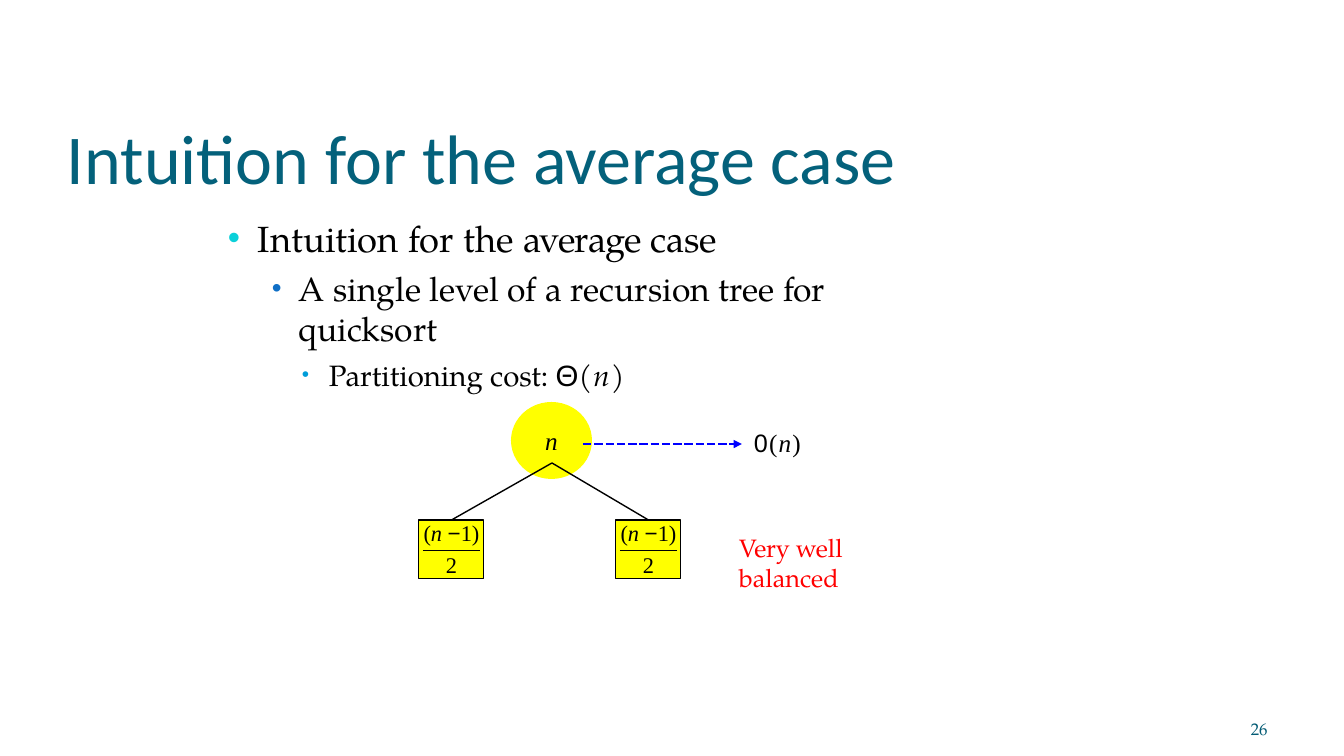
from dataclasses import dataclass

from lxml.etree import SubElement
from pptx import Presentation
from pptx.dml.color import RGBColor as RGB
from pptx.enum.dml import MSO_LINE as Dash
from pptx.enum.shapes import MSO_CONNECTOR as Conn, MSO_SHAPE as Shape
from pptx.enum.text import MSO_ANCHOR as Anchor, PP_ALIGN as Align
from pptx.oxml.ns import qn
from pptx.util import Pt

SCALE = 914400 / 100.8


@dataclass(frozen=True)
class Theme:
    """Colours, fonts and type sizes of the slide."""
    title: str = "04617B"
    number: str = "045C75"
    ink: str = "000000"
    node: str = "FFFF00"
    arrow: str = "0000FF"
    remark: str = "FF0000"
    bullets: tuple = ("0BD0D9", "0F6FC6", "009DD9")
    head: str = "Calibri"
    body: str = "TeX Gyre Pagella"
    math: str = "Times New Roman"
    symbol: str = "Arial"
    title_pt: int = 50
    body_pt: tuple = (26, 24, 21)
    label_pt: int = 18
    leaf_pt: int = 16
    number_pt: int = 12


T = Theme()


def px(n):
    """Turn px into EMU."""
    return round(n * SCALE)


def add_para(tf, runs, name, size, color, first=False, **fmt):
    """Add a paragraph of (text, changes) runs."""
    p = tf.paragraphs[0] if first else tf.add_paragraph()
    for key, value in fmt.items():
        setattr(p, key, value)
    for text, changes in runs:
        r = p.add_run()
        r.text = text
        look = {"name": name, "size": Pt(size), **changes}
        spacing = look.pop("spacing", 0)
        for key, value in look.items():
            setattr(r.font, key, value)
        r.font.color.rgb = RGB.from_string(color)
        if spacing:
            r._r.get_or_add_rPr().set("spc", str(round(spacing * 100)))
    return p


def frame(s, top=0, anchor=Anchor.TOP):
    """Set up the text frame of a shape."""
    tf = s.text_frame
    fmt = {"margin_left": 0, "margin_right": 0, "margin_top": px(top),
           "margin_bottom": 0, "word_wrap": True, "vertical_anchor": anchor}
    for key, value in fmt.items():
        setattr(tf, key, value)
    return tf


def add_text(slide, box, runs, name, size, color, **fmt):
    """Place a text box with one paragraph."""
    tf = frame(slide.shapes.add_textbox(*map(px, box)), top=1)
    add_para(tf, runs, name, size, color, first=True, **fmt)


def add_line(slide, start, end, color, width):
    """Draw a plain straight connector."""
    c = slide.shapes.add_connector(Conn.STRAIGHT, *map(px, start + end))
    c.line.color.rgb = RGB.from_string(color)
    c.line.width = Pt(width)
    SubElement(c._element.spPr, qn("a:effectLst"))
    return c


def add_node(slide, kind, box, outlined):
    """Draw a yellow node of the tree."""
    s = slide.shapes.add_shape(kind, *map(px, box))
    s.shadow.inherit = False
    s.fill.solid()
    s.fill.fore_color.rgb = RGB.from_string(T.node)
    if outlined:
        s.line.color.rgb = RGB.from_string(T.ink)
        s.line.width = Pt(0.75)
    else:
        s.line.fill.background()
    return s


def add_bullet(p, color, percent, left, hang):
    """Give a paragraph a coloured bullet and a hanging indent."""
    pPr = p._p.get_or_add_pPr()
    pPr.set("marL", str(px(left)))
    pPr.set("indent", str(-px(hang)))
    SubElement(SubElement(pPr, qn("a:buClr")), qn("a:srgbClr"), val=color)
    SubElement(pPr, qn("a:buSzPct"), val=str(percent * 1000))
    SubElement(pPr, qn("a:buFont"), typeface=T.symbol)
    SubElement(pPr, qn("a:buChar"), char="•")


def add_outline(slide, box):
    """Place the three-level bullet list."""
    levels = [
        ([("Intuition for the ", {}), ("average ", {"spacing": -0.5}),
          ("case", {"spacing": -0.2})], 0, 96, 31, 30),
        ([("A single level of a recursion tree ", {}),
          ("for ", {"spacing": -0.2}),
          ("quicksort", {"spacing": -0.1})], 5.8, 83, 72, 27),
        ([("Partitioning cost: ", {}), ("Θ", {"name": T.symbol}),
          ("(", {"spacing": 1}), ("n", {"italic": True, "spacing": 1}),
          (")", {"spacing": 1})], 6.1, 71, 102, 27),
    ]
    tf = frame(slide.shapes.add_textbox(*map(px, box)), top=10)
    for i, (runs, before, percent, left, hang) in enumerate(levels):
        p = add_para(tf, runs, T.body, T.body_pt[i], T.ink, first=i == 0,
                     level=i, space_before=Pt(before))
        add_bullet(p, T.bullets[i], percent, left, hang)


def add_leaf(slide, box):
    """Place a leaf that holds the fraction (n − 1) / 2."""
    x, y, w, h = box
    s = add_node(slide, Shape.RECTANGLE, box, outlined=True)
    tf = frame(s)
    top = [("(", {}), ("n ", {"italic": True}),
           ("−", {"name": T.symbol, "spacing": -0.2}), ("1)", {})]
    style = (T.math, T.leaf_pt, T.ink)
    add_para(tf, top, *style, first=True, alignment=Align.CENTER,
             line_spacing=Pt(18.8))
    add_para(tf, [("2", {})], *style, alignment=Align.CENTER,
             space_before=Pt(3.4))
    add_line(slide, (x + 4, y + 30), (x + w - 4, y + 30), T.ink, 0.67)
    return s


def add_tree(slide, box):
    """Place the recursion tree with its cost arrow and remark."""
    x, y, w, h = box
    root = add_node(slide, Shape.OVAL, (x + 92, y, 81, 77), outlined=False)
    add_para(frame(root, anchor=Anchor.MIDDLE), [("n", {"italic": True})],
             T.math, T.label_pt, T.ink, first=True, alignment=Align.CENTER)
    fork = (x + 133, y + 61)
    for left in (x, x + 197):
        leaf = add_leaf(slide, (left, y + h - 59, 65, 59))
        edge = add_line(slide, fork, (left + 32, y + h - 59), T.ink, 1)
        edge.end_connect(leaf, 0)
    arrow = add_line(slide, (x + 164, y + 42), (x + 323, y + 42), T.arrow, 2)
    arrow.line.dash_style = Dash.SQUARE_DOT
    SubElement(arrow.line._get_or_add_ln(), qn("a:tailEnd"), type="triangle")
    cost = [("0", {"name": T.symbol}), ("(", {}), ("n", {"italic": True}),
            (")", {})]
    add_text(slide, (x + 335, y + 24, 60, 33),
             [(text, {**look, "spacing": 0.8}) for text, look in cost],
             T.math, T.label_pt, T.ink)
    add_text(slide, (x + 320, y + 129, 195, 66),
             [("Very ", {"spacing": -0.3}), ("well balanced", {})],
             T.body, T.label_pt, T.remark)


def main():
    """Build and save the slide."""
    prs = Presentation()
    prs.slide_width, prs.slide_height = px(1344), px(756)
    slide = prs.slides.add_slide(prs.slide_layouts[6])
    add_text(slide, (67, 114, 1213, 87), [("Intuition for the average case", {})],
             T.head, T.title_pt, T.title)
    add_outline(slide, (227, 206, 724, 190))
    add_tree(slide, (419, 402, 262, 177))
    add_text(slide, (1251, 721, 40, 18), [("26", {"spacing": -0.2})],
             T.body, T.number_pt, T.number, line_spacing=Pt(12.4))
    prs.save("out.pptx")


if __name__ == "__main__":
    main()
